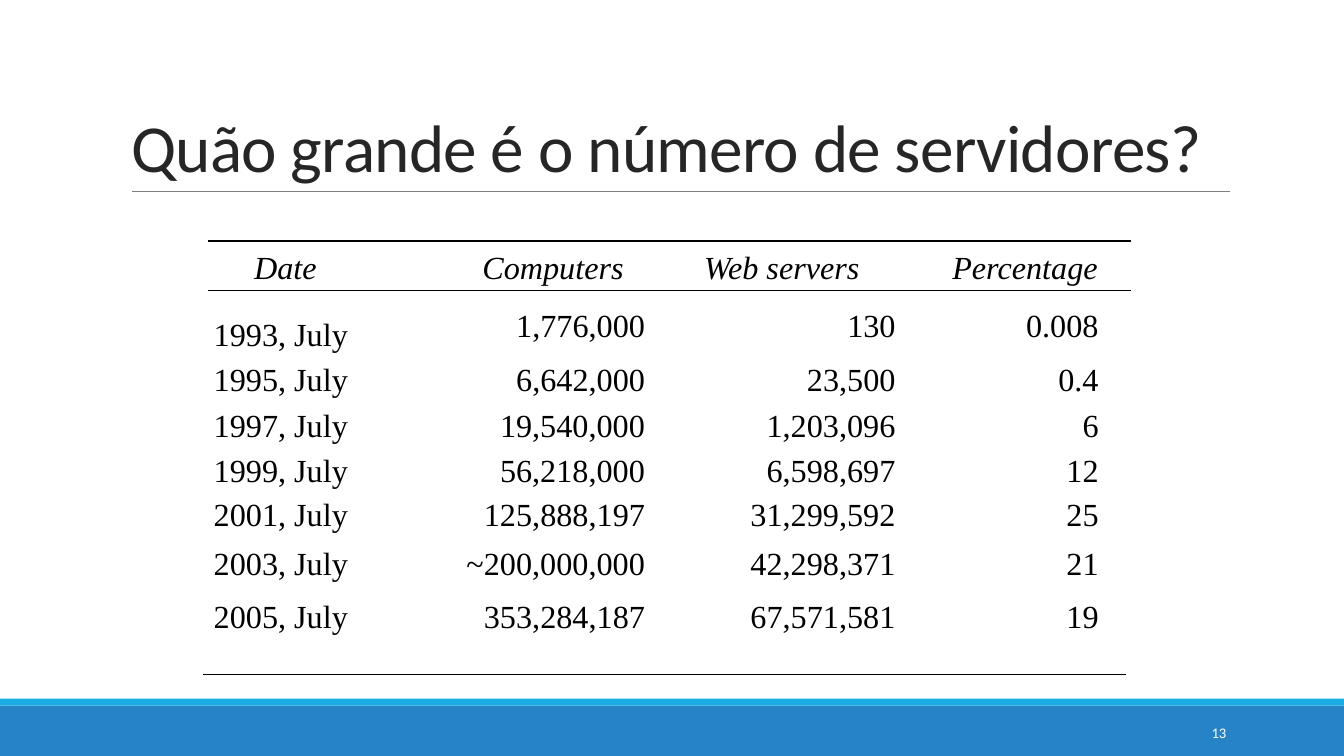
from lxml import etree
from pptx import Presentation
from pptx import util as u
from pptx.dml.color import RGBColor
from pptx.enum import shapes, text
from pptx.oxml import ns

BLUE = RGBColor(0x26, 0x83, 0xC6)
CYAN = RGBColor(0x1C, 0xAD, 0xE4)
GRAY = RGBColor(0x80, 0x80, 0x80)
DARK = RGBColor(0x26, 0x26, 0x26)
BLACK = RGBColor(0, 0, 0)
WHITE = RGBColor(0xFF, 0xFF, 0xFF)
W, H = u.Inches(13.33), u.Inches(7.5)
PLAIN_STYLE = "{2D5ABB26-0587-4C30-8999-92F81FD0307C}"

HEADERS = ["Date", "Computers", "Web servers", "Percentage"]
ROWS = [
    ["1993, July", "1,776,000", "130", "0.008"],
    ["1995, July", "6,642,000", "23,500", "0.4"],
    ["1997, July", "19,540,000", "1,203,096", "6"],
    ["1999, July", "56,218,000", "6,598,697", "12"],
    ["2001, July", "125,888,197", "31,299,592", "25"],
    ["2003, July", "~200,000,000", "42,298,371", "21"],
    ["2005, July", "353,284,187", "67,571,581", "19"],
]
COL_SHARES = [21.83, 25.66, 27.07, 25.44]
ROW_SHARES = [11.4, 16.05, 10.47, 10.47, 10, 11.4, 12.33, 17.88]
HEADER_INSETS = [3.45, 1.65, 2.7, 2.45]
VALUE_INSETS = [0.45, 0.07, 0.03, 2.4]


def part(length, percent):
    """Return a percentage of a length."""
    return u.Emu(round(length * percent / 100))


def area(x, y, w, h):
    """Return a box given in percentages of the slide."""
    return part(W, x), part(H, y), part(W, w), part(H, h)


def add_run(p, words, size, font, color, italic=False):
    """Add one formatted run to a paragraph."""
    r = p.add_run()
    r.text = words
    r.font.size = u.Pt(size)
    r.font.name = font
    r.font.color.rgb = color
    r.font.italic = italic
    return r


def add_rule(s, x, y, w, color, width):
    """Draw a horizontal line without a shadow."""
    line = s.shapes.add_connector(shapes.MSO_CONNECTOR.STRAIGHT, x, y, x + w, y)
    line.line.color.rgb = color
    line.line.width = u.Pt(width)
    etree.SubElement(line._element.spPr, ns.qn("a:effectLst"))


def add_title(s, box, words):
    """Place the title and the thin rule along its bottom edge."""
    x, y, w, h = box
    sp = s.shapes.title
    sp.left, sp.top, sp.width, sp.height = box
    tf = sp.text_frame
    tf.word_wrap = True
    tf.vertical_anchor = text.MSO_ANCHOR.BOTTOM
    p = tf.paragraphs[0]
    p.alignment = text.PP_ALIGN.LEFT
    p.line_spacing = 0.85
    r = add_run(p, words, 48, "Calibri", DARK)
    r.font._element.set("spc", "-50")
    add_rule(s, x + part(w, 1), y + h, part(w, 99), GRAY, 0.5)


def add_footer(s, box, number):
    """Place the two footer bands and the slide number."""
    x, y, w, h = box
    accent = part(h, 12.5)
    for top, height, color in ((y + accent, h - accent, BLUE), (y, accent, CYAN)):
        sp = s.shapes.add_shape(shapes.MSO_SHAPE.RECTANGLE, x, top, w, height)
        sp.shadow.inherit = False
        sp.fill.solid()
        sp.fill.fore_color.rgb = color
        sp.line.fill.background()
    sp = s.shapes.add_textbox(
        x + part(w, 81.25), y + part(h, 23.5), part(w, 10.73), part(h, 70))
    tf = sp.text_frame
    tf.word_wrap = True
    tf.vertical_anchor = text.MSO_ANCHOR.MIDDLE
    p = tf.paragraphs[0]
    p.alignment = text.PP_ALIGN.RIGHT
    add_run(p, number, 10.5, "Calibri", WHITE)


def fill_cell(cell, words, row, col):
    """Write and align one table cell."""
    header = row == 0
    inset = part(W, (HEADER_INSETS if header else VALUE_INSETS)[col])
    cell.margin_left = inset if col == 0 else 0
    cell.margin_right = 0 if col == 0 else inset
    cell.margin_bottom = 0
    cell.margin_top = part(H, 0.8 if header else 0.45)
    if row == 1:
        cell.margin_top = part(H, 3.65 if col == 0 else 2.45)
    anchors = text.MSO_ANCHOR
    cell.vertical_anchor = anchors.MIDDLE if header else anchors.TOP
    cell.fill.background()
    p = cell.text_frame.paragraphs[0]
    p.alignment = text.PP_ALIGN.LEFT if col == 0 else text.PP_ALIGN.RIGHT
    add_run(p, words, 23, "Times New Roman", BLACK, header)


def add_server_table(s, box):
    """Place the table of computers and web servers with its three rules."""
    x, y, w, h = box
    data = [HEADERS] + ROWS
    table = s.shapes.add_table(len(data), len(HEADERS), *box).table
    table.first_row = table.horz_banding = False
    table._tbl.tblPr.find(ns.qn("a:tableStyleId")).text = PLAIN_STYLE
    for column, share in zip(table.columns, COL_SHARES):
        column.width = part(w, share)
    for row, share in zip(table.rows, ROW_SHARES):
        row.height = part(h, share)
    for i, values in enumerate(data):
        for j, words in enumerate(values):
            fill_cell(table.cell(i, j), words, i, j)
    for shift, share in ((0, 0), (0, ROW_SHARES[0]), (-0.5, 100)):
        add_rule(s, x + part(w, shift), y + part(h, share), w, BLACK, 1)


def main():
    """Build and save the slide."""
    prs = Presentation()
    prs.slide_width, prs.slide_height = W, H
    s = prs.slides.add_slide(prs.slide_layouts[5])
    add_footer(s, area(0, 92.4, 100, 7.6), "13")
    add_title(s, area(9, 4.13, 82.5, 21.2), "Quão grande é o número de servidores?")
    add_server_table(s, area(15.45, 31.87, 68.7, 57.33))
    prs.save("out.pptx")


if __name__ == "__main__":
    main()
